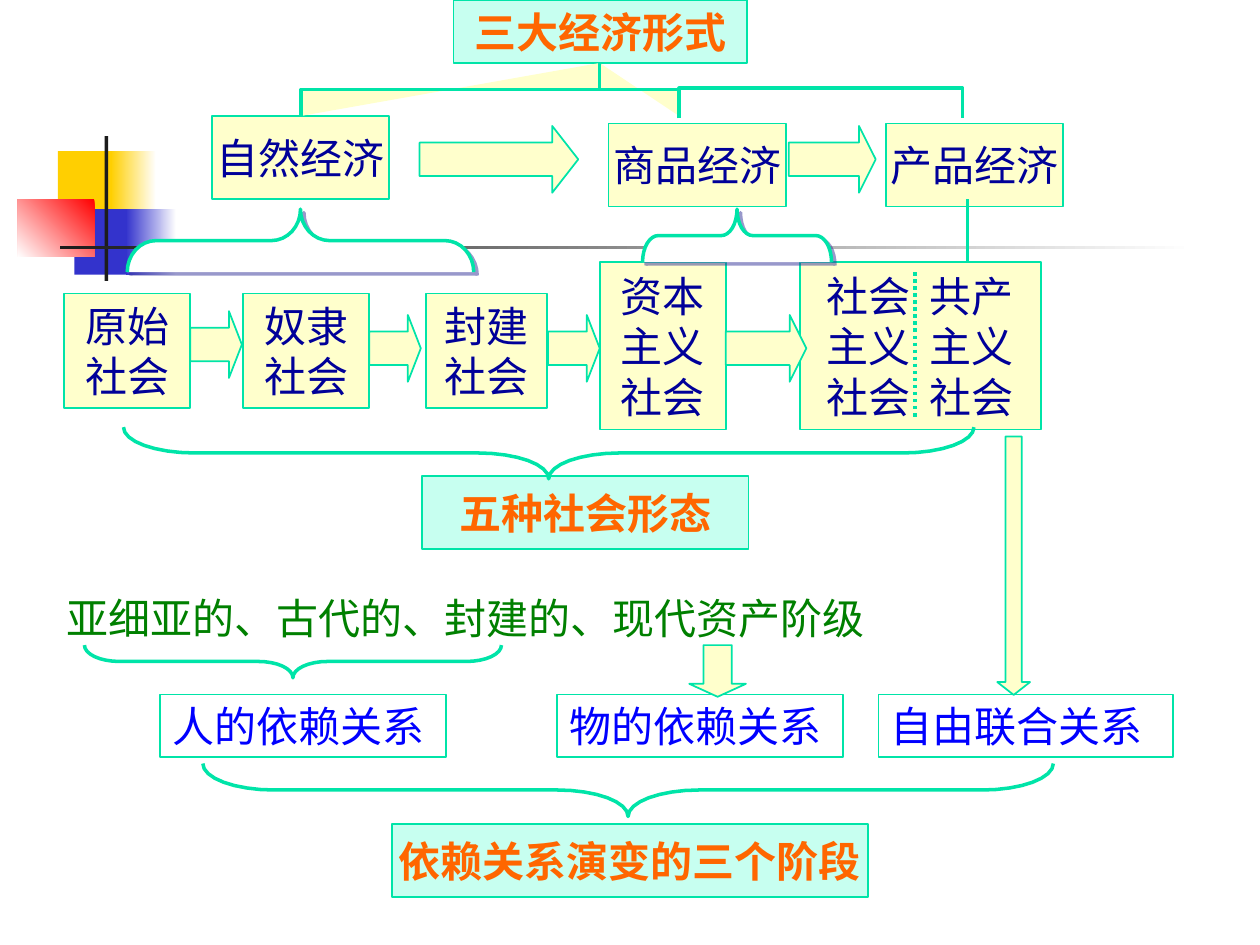
from math import cos, pi, sin

from lxml.etree import SubElement
from pptx import Presentation
from pptx.dml.color import RGBColor
from pptx.enum.dml import MSO_LINE
from pptx.enum.shapes import MSO_CONNECTOR, MSO_SHAPE
from pptx.enum.text import MSO_ANCHOR, MSO_AUTO_SIZE, PP_ALIGN
from pptx.oxml.ns import qn
from pptx.util import Inches, Pt

WHITE = RGBColor(0xFF, 0xFF, 0xFF)
YELLOW = RGBColor(0xFF, 0xCF, 0x01)
BLUE = RGBColor(0x33, 0x33, 0xCC)
RED = RGBColor(0xFF, 0x00, 0x00)
BLACK = RGBColor(0x1C, 0x1C, 0x1C)
MINT = RGBColor(0xC7, 0xFF, 0xF0)
CREAM = RGBColor(0xFF, 0xFF, 0xCC)
TEAL = RGBColor(0x00, 0xE4, 0xA8)
ORANGE = RGBColor(0xFF, 0x66, 0x00)
NAVY = RGBColor(0x00, 0x00, 0x99)
GREEN = RGBColor(0x00, 0x80, 0x00)
LINK_BLUE = RGBColor(0x00, 0x00, 0xFF)

HEADING_FONT = "Times New Roman"
BODY_FONT = "Noto Sans CJK SC"
LABEL_FONT = "Noto Sans CJK JP"


def place(slide, preset, box, fill=None, line=None, width=1):
    shape = slide.shapes.add_shape(preset, *map(Inches, box))
    paint(shape, fill, line, width)
    return shape


def paint(shape, fill, line, width):
    shape.shadow.inherit = False
    if fill is None:
        shape.fill.background()
    else:
        shape.fill.solid()
        shape.fill.fore_color.rgb = fill
    if line is None:
        shape.line.fill.background()
    else:
        shape.line.color.rgb = line
        shape.line.width = Pt(width)


def write(shape, text, font, color, align=PP_ALIGN.CENTER, bold=False):
    frame = shape.text_frame
    frame.text = text
    for paragraph in frame.paragraphs:
        paragraph.alignment = align
        for run in paragraph.runs:
            run.font.size = Pt(24)
            run.font.bold = bold
            run.font.color.rgb = color
            run.font.name = font
            east_asian = SubElement(run._r.get_or_add_rPr(), qn("a:ea"))
            east_asian.set("typeface", BODY_FONT if font == HEADING_FONT else font)


def fade(slide, box, start, end, angle):
    shape = place(slide, MSO_SHAPE.RECTANGLE, box)
    shape.fill.gradient()
    shape.fill.gradient_angle = angle
    for stop, position, color in zip(shape.fill.gradient_stops, (0, 1), (start, end)):
        stop.position = position
        stop.color.rgb = color


def heading(slide, text, box):
    shape = place(slide, MSO_SHAPE.RECTANGLE, box, MINT, TEAL)
    shape.text_frame.word_wrap = False
    shape.text_frame.vertical_anchor = MSO_ANCHOR.MIDDLE
    write(shape, text, HEADING_FONT, ORANGE, bold=True)


def stage(slide, text, box):
    shape = place(slide, MSO_SHAPE.RECTANGLE, box, CREAM, TEAL)
    shape.text_frame.word_wrap = False
    shape.text_frame.vertical_anchor = MSO_ANCHOR.MIDDLE
    write(shape, text, BODY_FONT, NAVY)
    return shape


def two_columns(shape, inset, column):
    """Lay tab-separated text out in two left-aligned columns."""
    shape.text_frame.word_wrap = True
    shape.text_frame.margin_left = Inches(inset)
    for paragraph in shape.text_frame.paragraphs:
        paragraph.alignment = PP_ALIGN.LEFT
        tabs = SubElement(paragraph._p.get_or_add_pPr(), qn("a:tabLst"))
        SubElement(tabs, qn("a:tab"), pos=str(Inches(column)), algn="l")


def relation(slide, text, box):
    shape = place(slide, MSO_SHAPE.RECTANGLE, box, None, TEAL, 0.75)
    frame = shape.text_frame
    frame.word_wrap = False
    frame.vertical_anchor = MSO_ANCHOR.TOP
    frame.auto_size = MSO_AUTO_SIZE.SHAPE_TO_FIT_TEXT
    write(shape, text, LABEL_FONT, LINK_BLUE, PP_ALIGN.LEFT)


def arrow(slide, box, head=0.25, rotation=0):
    shape = place(slide, MSO_SHAPE.RIGHT_ARROW, box, CREAM, TEAL)
    shape.adjustments[1] = head
    shape.rotation = rotation


def outline(slide, points, fill=None):
    corners = [(Inches(x), Inches(y)) for x, y in points]
    builder = slide.shapes.build_freeform(*corners[0])
    builder.add_line_segments(corners[1:], close=False)
    shape = builder.convert_to_shape()
    paint(shape, fill, TEAL, 2)
    return shape


def brace(slide, left, ends, width, tip, fill=None):
    """Curly brace from its ends' height to its tip's height."""
    radius, middle = width / 12, width / 2
    turns = [step * pi / 16 for step in range(9)]
    half = [(radius * (1 - cos(t)), sin(t) / 2) for t in turns]
    half += [(middle - radius + radius * sin(t), 1 - cos(t) / 2) for t in turns]
    curve = half + [(width - x, depth) for x, depth in half[-2::-1]]
    return outline(slide, [(left + x, ends + depth * (tip - ends)) for x, depth in curve], fill)


def cast_shadow(shape):
    effects = shape._element.spPr.find(qn("a:effectLst"))
    shadow = SubElement(effects, qn("a:outerShdw"), dist=str(Pt(2.8)), dir="2700000",
                        algn="ctr", rotWithShape="0")
    color = SubElement(shadow, qn("a:srgbClr"), val="333399")
    SubElement(color, qn("a:alpha"), val="50000")


def straight(slide, x, top, bottom, dash=None):
    link = slide.shapes.add_connector(
        MSO_CONNECTOR.STRAIGHT, Inches(x), Inches(top), Inches(x), Inches(bottom))
    link.line.color.rgb = TEAL
    link.line.width = Pt(2)
    if dash is not None:
        link.line.dash_style = dash
    SubElement(link._element.spPr, qn("a:effectLst"))


def backdrop(slide):
    place(slide, MSO_SHAPE.RECTANGLE, (0.46, 1.2, 0.48, 0.52), YELLOW)
    fade(slide, (0.88, 1.2, 0.36, 0.52), WHITE, YELLOW, 180)
    place(slide, MSO_SHAPE.RECTANGLE, (0.59, 1.66, 0.46, 0.52), BLUE)
    fade(slide, (1, 1.66, 0.4, 0.52), WHITE, BLUE, 180)
    fade(slide, (0.14, 1.58, 0.61, 0.46), RED, WHITE, 225)
    place(slide, MSO_SHAPE.RECTANGLE, (0.83, 1.08, 0.03, 1.15), BLACK)
    fade(slide, (0.48, 1.95, 9, 0.03), WHITE, BLACK, 180)


def main():
    deck = Presentation()
    deck.slide_width, deck.slide_height = Inches(10), Inches(7.5)
    slide = deck.slides.add_slide(deck.slide_layouts[6])
    backdrop(slide)

    # Three economic forms
    heading(slide, "三大经济形式", (3.6, 0, 2.33, 0.5))
    for text, left, top in (("自然经济", 1.68, 0.92), ("商品经济", 4.83, 0.98),
                            ("产品经济", 7.03, 0.98)):
        stage(slide, text, (left, top, 1.41, 0.66))

    # Five forms of society
    for text, left, width in (("原始\n社会", 0.51, 1), ("奴隶\n社会", 1.93, 1),
                              ("封建\n社会", 3.38, 0.96)):
        stage(slide, text, (left, 2.33, width, 0.91))
    stage(slide, "资本\n主义\n社会", (4.76, 2.08, 1, 1.33))
    latest = stage(slide, "社会\t共产\n主义\t主义\n社会\t社会", (6.35, 2.08, 1.91, 1.33))
    two_columns(latest, 0.21, 0.82)
    straight(slide, 7.26, 2.16, 3.33, MSO_LINE.ROUND_DOT)
    heading(slide, "五种社会形态", (3.35, 3.78, 2.59, 0.58))

    # Arrows from stage to stage
    arrow(slide, (3.33, 1, 1.26, 0.53), 0.39)
    for left, top, width in ((6.26, 1, 0.69), (1.51, 2.47, 0.41), (2.93, 2.5, 0.41),
                             (4.35, 2.5, 0.41), (5.76, 2.5, 0.64)):
        arrow(slide, (left, top, width, 0.53))

    # Braces and branches between the economies and the societies
    brace(slide, 0.98, 3.39, 6.75, 3.8)
    cast_shadow(brace(slide, 1.01, 2.16, 2.75, 1.66, WHITE))
    cast_shadow(brace(slide, 5.1, 2.08, 1.5, 1.66, WHITE))
    straight(slide, 7.68, 1.58, 2.08)
    for branch in (2.39, 5.39):
        outline(slide, [(4.76, 0.5), (4.76, 0.71), (branch, 0.71), (branch, 0.92)], CREAM)
    outline(slide, [(5.39, 0.94), (5.39, 0.7), (7.64, 0.7), (7.64, 0.94)])

    # Three stages of dependence
    modes = slide.shapes.add_textbox(*map(Inches, (0.43, 4.65, 6.61, 0.5)))
    modes.text_frame.word_wrap = True
    write(modes, "亚细亚的、古代的、封建的、现代资产阶级", BODY_FONT, GREEN, PP_ALIGN.LEFT)
    for text, left, width in (("自由联合关系", 6.97, 2.34), ("物的依赖关系", 4.42, 2.27),
                              ("人的依赖关系", 1.27, 2.27)):
        relation(slide, text, (left, 5.51, width, 0.5))
    brace(slide, 0.67, 5.12, 3.31, 5.38)
    arrow(slide, (7.02, 4.36, 2.05, 0.26), 0.39, 90)
    arrow(slide, (5.49, 5.1, 0.41, 0.45), rotation=90)
    brace(slide, 1.61, 6.06, 6.75, 6.48)
    heading(slide, "依赖关系演变的三个阶段", (3.11, 6.54, 3.78, 0.58))

    deck.save("out.pptx")


if __name__ == "__main__":
    main()
